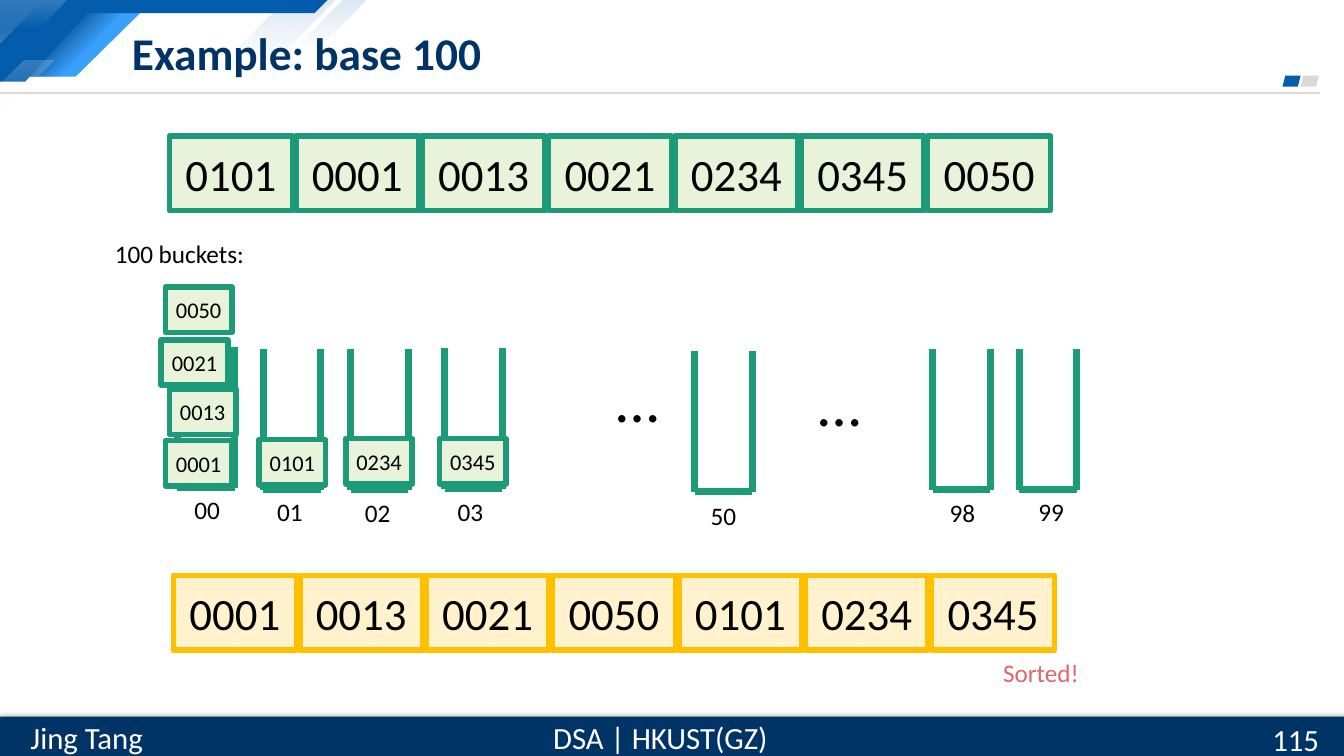
from lxml import etree
from pptx import Presentation
from pptx.dml.color import RGBColor
from pptx.enum.shapes import MSO_CONNECTOR, MSO_SHAPE
from pptx.enum.text import MSO_ANCHOR, PP_ALIGN
from pptx.oxml.ns import qn
from pptx.util import Inches, Pt

FONT = "Calibri"
BLACK, WHITE, GREY = "000000", "FFFFFF", "D9D9D9"
NAVY, BLUE, SKY, DEEP = "003366", "035CAC", "39A0FC", "024581"
GREEN, PALE_GREEN = "1D9A78", "E8F3DA"
GOLD, PALE_GOLD, RED = "FFC000", "FFF2CC", "DE6769"

INPUT_KEYS = ["0101", "0001", "0013", "0021", "0234", "0345", "0050"]
# label, left and top of the bucket, left and top of the label
BUCKETS = [
    ("00", 1.76, 3.44, 1.83, 4.86),
    ("01", 2.61, 3.46, 2.65, 4.87),
    ("02", 3.48, 3.46, 3.52, 4.88),
    ("03", 4.41, 3.45, 4.44, 4.87),
    ("50", 6.89, 3.48, 6.95, 4.91),
    ("98", 9.25, 3.46, 9.32, 4.88),
    ("99", 10.11, 3.46, 10.2, 4.87),
]
BUCKET_W, BUCKET_H = 0.57, 1.4
BUCKET_KEYS = [
    ("0001", 1.64, 4.37), ("0013", 1.68, 3.86), ("0021", 1.6, 3.37),
    ("0050", 1.64, 2.85), ("0101", 2.57, 4.36), ("0234", 3.43, 4.35),
    ("0345", 4.36, 4.35),
]


def rgb(color):
    return RGBColor.from_string(color)


def paint(sp, color):
    sp.shadow.inherit = False
    sp.line.fill.background()
    sp.fill.solid()
    sp.fill.fore_color.rgb = rgb(color)


def paint_fade(sp, color, opacity, angle=270, positions=(0, 1)):
    """Fill with one colour that fades from the given opacity to clear."""
    sp.shadow.inherit = False
    sp.line.fill.background()
    sp.fill.gradient()
    sp.fill.gradient_angle = angle
    for stop, position in zip(sp.fill.gradient_stops, positions):
        stop.color.rgb = rgb(color)
        stop.position = position
    for clr, percent in zip(sp.element.spPr.iter(qn("a:srgbClr")), (opacity, 0)):
        etree.SubElement(clr, qn("a:alpha"), val=str(percent * 1000))


def add_outline(slide, points):
    start, *rest = [(Inches(x), Inches(y)) for x, y in points]
    builder = slide.shapes.build_freeform(*start)
    builder.add_line_segments(rest, close=True)
    return builder.convert_to_shape()


def add_preset(slide, kind, x, y, w, h):
    return slide.shapes.add_shape(kind, Inches(x), Inches(y), Inches(w), Inches(h))


def add_line(slide, x1, y1, x2, y2, color, width):
    line = slide.shapes.add_connector(
        MSO_CONNECTOR.STRAIGHT, Inches(x1), Inches(y1), Inches(x2), Inches(y2))
    line.line.color.rgb = rgb(color)
    line.line.width = Pt(width)
    etree.SubElement(line.element.spPr, qn("a:effectLst"))


def write(tf, text, size, color, align, anchor):
    tf.word_wrap = True
    tf.vertical_anchor = anchor
    p = tf.paragraphs[0]
    p.text = text
    p.alignment = align
    p.font.name = FONT
    p.font.size = Pt(size)
    p.font.color.rgb = rgb(color)
    return p


def add_text(slide, text, x, y, w, h, size=18, color=BLACK,
             align=PP_ALIGN.LEFT, anchor=MSO_ANCHOR.TOP):
    box = slide.shapes.add_textbox(Inches(x), Inches(y), Inches(w), Inches(h))
    return write(box.text_frame, text, size, color, align, anchor)


def add_key(slide, key, x, y, w=0.66, h=0.45, size=16, fill=PALE_GREEN, border=GREEN):
    sp = add_preset(slide, MSO_SHAPE.RECTANGLE, x, y, w, h)
    paint(sp, fill)
    sp.line.color.rgb = rgb(border)
    sp.line.width = Pt(4)
    tf = sp.text_frame
    tf.margin_left = tf.margin_right = 0
    write(tf, key, size, BLACK, PP_ALIGN.CENTER, MSO_ANCHOR.MIDDLE)


def add_key_row(slide, keys, x, y, fill, border):
    step = 7.52 / (len(keys) - 1)
    for i, key in enumerate(keys):
        add_key(slide, key, x + i * step, y, 1.22, 0.74, 32, fill, border)


def add_bucket(slide, label, x, y, label_x, label_y):
    bottom = y + BUCKET_H
    for wall in (x, x + BUCKET_W):
        add_line(slide, wall, y, wall, bottom, GREEN, 5)
    add_line(slide, x + BUCKET_W, bottom, x, bottom, GREEN, 5)
    add_text(slide, label, label_x, label_y, 0.53, 0.4)


def add_corner_art(slide):
    slant = [(0.84, 0.07), (1.45, 0.07), (0.75, 0.76), (0.16, 0.76)]
    paint(add_outline(slide, slant), SKY)
    paint_fade(add_outline(slide, slant), DEEP, 100, 315, (0.29, 0.57))
    paint(add_outline(slide, [(0, 0), (3.25, 0), (3.12, 0.13), (0.87, 0.13),
                              (0.25, 0.81), (0, 0.81)]), BLUE)
    corner = add_preset(slide, MSO_SHAPE.RIGHT_TRIANGLE, 0, 0, 0.42, 0.42)
    corner.element.spPr.xfrm.set("flipV", "1")
    paint_fade(corner, WHITE, 20)
    for points, color, opacity in [
        ([(0, 0), (0.66, 0), (0.39, 0.28), (0, 0.28)], WHITE, 20),
        ([(2.84, 0), (3.33, 0), (2.72, 0.61), (2.22, 0.61)], BLUE, 15),
        ([(3.4, 0), (3.64, 0), (3.15, 0.49), (2.91, 0.49)], BLUE, 15),
        ([(0.23, 0.6), (0.53, 0.6), (-0.07, 1.2), (-0.37, 1.2)], WHITE, 20),
    ]:
        paint_fade(add_outline(slide, points), color, opacity)


def add_header(slide):
    add_corner_art(slide)
    add_line(slide, 0, 0.92, 13.09, 0.92, GREY, 1.5)
    for x, color in ((12.9, GREY), (12.72, BLUE)):
        paint(add_preset(slide, MSO_SHAPE.PARALLELOGRAM, x, 0.75, 0.18, 0.11), color)
    title = add_text(slide, "Example: base 100", 1.21, 0.17, 10.21, 0.69, 32.4, NAVY,
                     anchor=MSO_ANCHOR.MIDDLE)
    title.font.bold = True


def add_footer(slide):
    bar = add_preset(slide, MSO_SHAPE.RECTANGLE, 0, 7.11, 13.33, 0.4)
    paint(bar, NAVY)
    shadow = etree.SubElement(
        bar.element.spPr.find(qn("a:effectLst")), qn("a:outerShdw"),
        blurRad=str(Pt(4.5)), dist=str(Pt(1.5)), dir="5400000", rotWithShape="0")
    clr = etree.SubElement(shadow, qn("a:srgbClr"), val=BLACK)
    etree.SubElement(clr, qn("a:alpha"), val="63000")
    for text, x, y, w, h, align in [
        ("DSA | HKUST(GZ)", 5.36, 7.08, 2.38, 0.47, PP_ALIGN.CENTER),
        ("Jing Tang", 0.16, 7.08, 1.4, 0.47, PP_ALIGN.CENTER),
        ("115", 12.52, 7.13, 0.81, 0.4, PP_ALIGN.LEFT),
    ]:
        add_text(slide, text, x, y, w, h, 22, WHITE, align, MSO_ANCHOR.MIDDLE)


def main():
    prs = Presentation()
    prs.slide_width, prs.slide_height = Inches(13.33), Inches(7.5)
    slide = prs.slides.add_slide(prs.slide_layouts[6])
    add_header(slide)
    add_footer(slide)
    add_key_row(slide, INPUT_KEYS, 1.68, 1.35, PALE_GREEN, GREEN)
    add_text(slide, "100 buckets:", 1.04, 2.32, 1.53, 0.4)
    for bucket in BUCKETS:
        add_bucket(slide, *bucket)
    for x, y in ((6.02, 3.53), (8.02, 3.57)):
        add_text(slide, "…", x, y, 1.07, 0.84, 44)
    for key in BUCKET_KEYS:
        add_key(slide, *key)
    add_key_row(slide, sorted(INPUT_KEYS), 1.72, 5.71, PALE_GOLD, GOLD)
    add_text(slide, "Sorted!", 9.85, 6.47, 2.24, 0.4, color=RED)
    prs.save("out.pptx")


if __name__ == "__main__":
    main()
